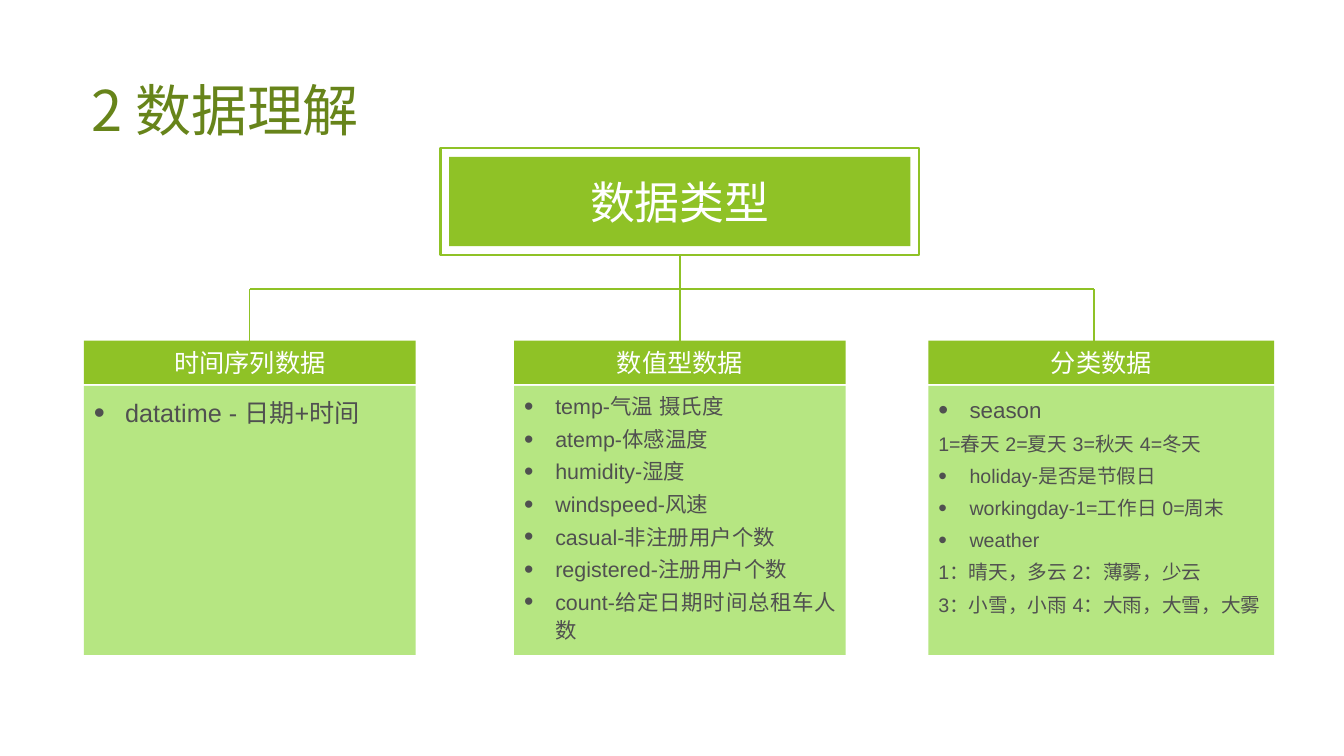
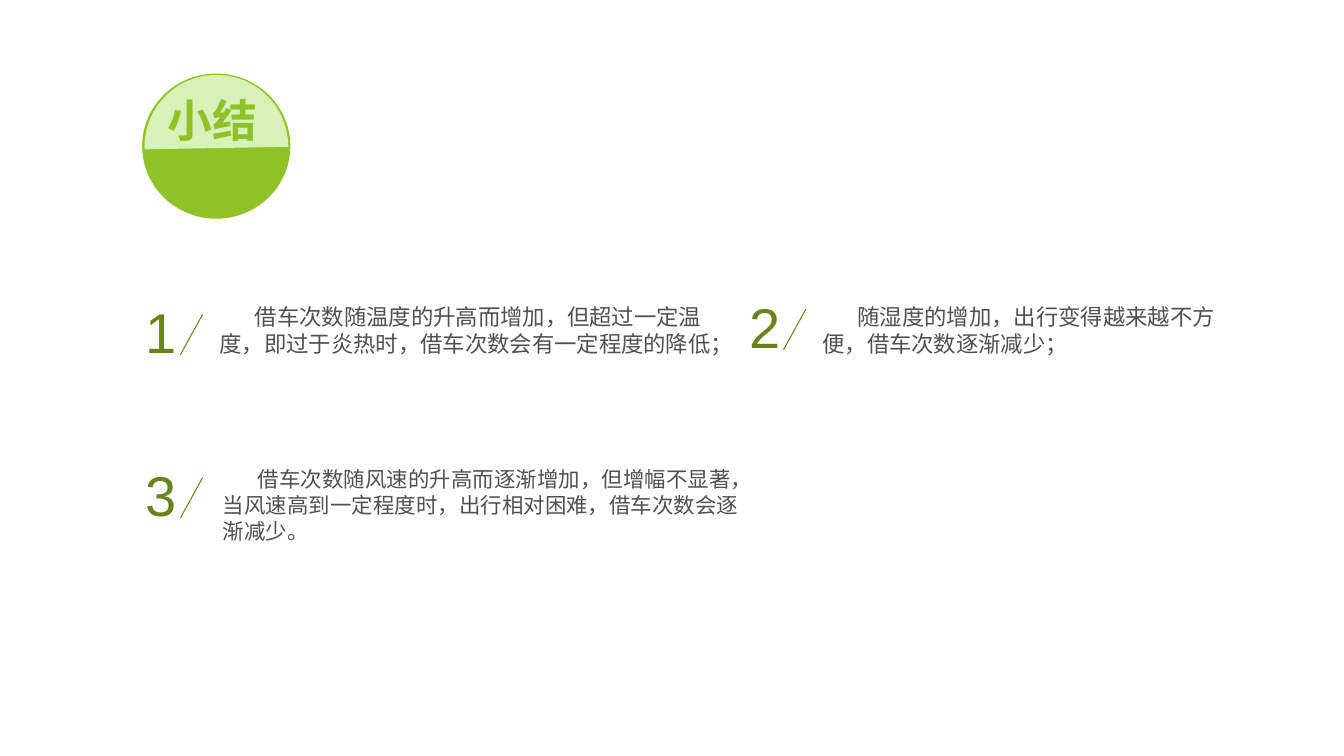
from math import cos, radians, sin

from lxml.etree import SubElement
from pptx import Presentation
from pptx.dml.color import RGBColor
from pptx.enum.shapes import MSO_CONNECTOR, MSO_SHAPE
from pptx.enum.text import MSO_ANCHOR, PP_ALIGN
from pptx.oxml.ns import qn
from pptx.util import Inches, Pt

# Shared style
GREEN = RGBColor(0x8F, 0xC2, 0x26)
DARK_GREEN = RGBColor(0x67, 0x84, 0x1A)
LIGHT_GREEN = RGBColor(0xB6, 0xE6, 0x82)
PALE_GREEN = RGBColor(0xD7, 0xF1, 0xB8)
GREY = RGBColor(0x50, 0x50, 0x50)
WHITE = RGBColor(0xFF, 0xFF, 0xFF)
TITLE_FONT = "Noto Sans CJK SC"
BODY_FONT = "Arial"

# Square grid: 40 columns by 22.5 rows
SLIDE_W, SLIDE_H = Inches(13.33), Inches(7.5)
COLUMNS = 40

# Data type tree, in grid cells
COLUMN_W = 9.87
BUS_Y, HEADER_Y, BODY_Y = 8.61, 10.14, 11.49
HEADER_H, BODY_H = 1.29, 8.01
FRAME = (13.11, 4.41, 14.25, 3.18)
FRAME_GAP = 0.26

# Each column: left, width, heading, line spacing, (text, size, bulleted)
DATA_TYPES = [
    (2.5, COLUMN_W, "时间序列数据", 1.2, [("datatime - 日期+时间", 18, True)]),
    (15.3, COLUMN_W, "数值型数据", 1.1, [
        (field, 15.3, True) for field in (
            "temp-气温 摄氏度", "atemp-体感温度", "humidity-湿度",
            "windspeed-风速", "casual-非注册用户个数",
            "registered-注册用户个数", "count-给定日期时间总租车人数")]),
    (27.63, 10.29, "分类数据", 1.2, [
        ("season", 16, True),
        ("1=春天 2=夏天 3=秋天 4=冬天", 14, False),
        ("holiday-是否是节假日", 14, True),
        ("workingday-1=工作日 0=周末", 14, True),
        ("weather", 14, True),
        ("1：晴天，多云 2：薄雾，少云", 14, False),
        ("3：小雪，小雨 4：大雨，大雪，大雾", 14, False)]),
]

# Each finding: number position, text position and width, size, text
FINDINGS = [
    ((4.05, 8.7), (6.24, 8.88), 15.36, 16,
     "借车次数随温度的升高而增加，但超过一定温度，即过于炎热时，借车次数会有一定程度的降低；"),
    ((22, 8.55), (24.18, 8.88), 12.33, 16,
     "随湿度的增加，出行变得越来越不方便，借车次数逐渐减少；"),
    ((4.05, 13.56), (6.33, 13.74), 16.29, 15.3,
     "借车次数随风速的升高而逐渐增加，但增幅不显著，当风速高到一定程度时，出行相对困难，借车次数会逐渐减少。"),
]


def cells(*counts):
    return [int(SLIDE_W * count / COLUMNS) for count in counts]


def add_run(paragraph, text, size, color, font, bold=False):
    run = paragraph.add_run()
    run.text = text
    run.font.size, run.font.bold = Pt(size), bold
    run.font.color.rgb = color
    run.font.name = font
    SubElement(run.font._element, qn("a:ea"), typeface=font)


def add_panel(slide, box, fill=None, line=None, preset=MSO_SHAPE.RECTANGLE):
    panel = slide.shapes.add_shape(preset, *cells(*box))
    paint(panel, fill)
    if line is not None:
        panel.line.color.rgb = line
        panel.line.width = Pt(1.5)
    return panel


def paint(shape, fill):
    shape.shadow.inherit = False
    shape.line.fill.background()
    if fill is None:
        shape.fill.background()
    else:
        shape.fill.solid()
        shape.fill.fore_color.rgb = fill


def prepare_text(shape, anchor=MSO_ANCHOR.TOP, align=PP_ALIGN.LEFT):
    frame = shape.text_frame
    frame.word_wrap = True
    frame.vertical_anchor = anchor
    frame.paragraphs[0].alignment = align
    return frame


def add_label(slide, box, text, size, color, font=BODY_FONT, bold=False,
              anchor=MSO_ANCHOR.TOP, align=PP_ALIGN.LEFT):
    frame = prepare_text(slide.shapes.add_textbox(*cells(*box)), anchor, align)
    add_run(frame.paragraphs[0], text, size, color, font, bold)
    return frame


def add_heading(slide, box, text, size):
    heading = add_panel(slide, box, GREEN)
    frame = prepare_text(heading, MSO_ANCHOR.MIDDLE, PP_ALIGN.CENTER)
    add_run(frame.paragraphs[0], text, size, WHITE, TITLE_FONT)
    return heading


def add_line(slide, start, end, color, width):
    line = slide.shapes.add_connector(
        MSO_CONNECTOR.STRAIGHT, *cells(*start, *end))
    line.line.color.rgb = color
    line.line.width = Pt(width)
    SubElement(line._element.spPr, qn("a:effectLst"))
    return line


def set_indent(paragraph, first, left=0):
    properties = paragraph._p.get_or_add_pPr()
    properties.set("marL", str(Inches(left)))
    properties.set("indent", str(Inches(first)))
    return properties


def add_bullet(paragraph):
    properties = set_indent(paragraph, -0.31, 0.31)
    SubElement(properties, qn("a:buSzPct"), val="125000")
    SubElement(properties, qn("a:buFont"), typeface=BODY_FONT)
    SubElement(properties, qn("a:buChar"), char="•")


def add_field_list(slide, box, spacing, fields):
    frame = prepare_text(add_panel(slide, box, LIGHT_GREEN))
    for index, (text, size, bulleted) in enumerate(fields):
        paragraph = frame.add_paragraph() if index else frame.paragraphs[0]
        paragraph.alignment = PP_ALIGN.JUSTIFY
        paragraph.line_spacing = spacing
        paragraph.space_before = Pt(size * 0.2)
        if bulleted:
            add_bullet(paragraph)
        add_run(paragraph, text, size, GREY, BODY_FONT)


def add_data_type(slide, left, width, heading, spacing, fields):
    stem_x = left + COLUMN_W / 2
    header = add_heading(slide, (left, HEADER_Y, width, HEADER_H), heading, 18)
    add_field_list(slide, (left, BODY_Y, width, BODY_H), spacing, fields)
    stem = add_line(slide, (stem_x, BUS_Y), (stem_x, HEADER_Y), GREEN, 1)
    if width == COLUMN_W:
        stem.end_connect(header, 0)
    return stem_x


def add_finding(slide, number, number_at, text_at, width, size, text):
    x, y = number_at
    add_label(slide, (x, y, 1.53, 2.31), str(number), 40, DARK_GREEN)
    add_line(slide, (x + 1.32, y + 1.86), (x + 1.98, y + 0.66),
             DARK_GREEN, 0.75)
    frame = add_label(slide, (*text_at, width, 2.25), text, size, GREY)
    set_indent(frame.paragraphs[0], 0.35)


def add_summary_badge(slide):
    add_panel(slide, (4.23, 2.19, 4.41, 4.32), GREEN, preset=MSO_SHAPE.OVAL)
    # Pale upper half
    center_x, center_y, radius = 6.44, 4.37, 2.14
    arc = [cells(center_x + radius * cos(radians(angle)),
                 center_y + radius * sin(radians(angle)))
           for angle in range(178, 361, 2)]
    outline = slide.shapes.build_freeform(*arc[0])
    outline.add_line_segments(arc[1:], close=True)
    paint(outline.convert_to_shape(), PALE_GREEN)
    # Badge text
    frame = add_label(slide, (4.23, 3.45, 4.17, 0.9), "小结", 32, GREEN,
                      bold=True, anchor=MSO_ANCHOR.BOTTOM,
                      align=PP_ALIGN.CENTER)
    frame.margin_left = frame.margin_right = 0
    frame.margin_top = frame.margin_bottom = 0


def build_data_types(slide):
    # Root box inside its frame
    left, top, width, height = FRAME
    root_frame = add_panel(slide, FRAME, line=GREEN)
    add_heading(slide, (left + FRAME_GAP, top + FRAME_GAP,
                        width - 2 * FRAME_GAP, height - 2 * FRAME_GAP),
                "数据类型", 32)
    # Branches
    stems = [add_data_type(slide, *column) for column in DATA_TYPES]
    add_line(slide, (stems[0], BUS_Y), (stems[-1], BUS_Y), GREEN, 1)
    root_x = left + width / 2
    trunk = add_line(slide, (root_x, top + height), (root_x, BUS_Y), GREEN, 1)
    trunk.begin_connect(root_frame, 2)
    # Title
    title = add_label(slide, (2.43, 1.2, 34.83, 4.35), "2 数据理解", 40,
                      DARK_GREEN, TITLE_FONT, anchor=MSO_ANCHOR.MIDDLE)
    title.paragraphs[0].line_spacing = 0.9


def build_summary(slide):
    for number, finding in enumerate(FINDINGS, 1):
        add_finding(slide, number, *finding)
    add_summary_badge(slide)


def main():
    deck = Presentation()
    deck.slide_width, deck.slide_height = SLIDE_W, SLIDE_H
    for build in (build_data_types, build_summary):
        build(deck.slides.add_slide(deck.slide_layouts[6]))
    deck.save("out.pptx")


if __name__ == "__main__":
    main()
